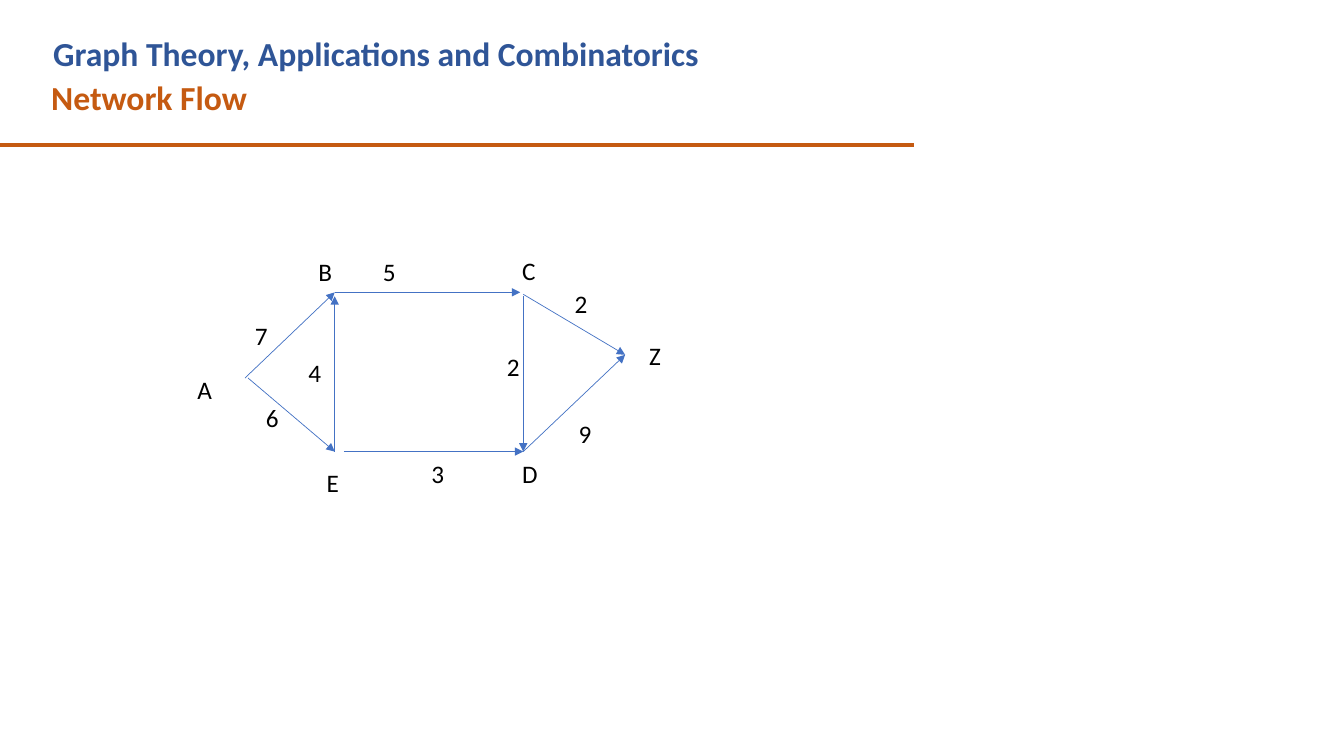
from lxml.etree import SubElement
from pptx import Presentation
from pptx.dml.color import RGBColor
from pptx.enum.shapes import MSO_CONNECTOR
from pptx.enum.text import MSO_AUTO_SIZE
from pptx.oxml.ns import qn
from pptx.util import Emu, Pt

EMU_PER_PX = 9144  # 100 px to the inch
ORANGE, NAVY, BLUE, BLACK = "C55A11", "2F5597", "4472C4", "000000"

# Name or capacity: left, top, width
NODE_LABELS = [
    ("A", 186, 366, 46), ("Z", 634, 333, 71), ("B", 306, 249, 36),
    ("C", 508, 248, 43), ("D", 508, 450, 52), ("E", 314, 459, 52),
]
CAPACITY_LABELS = [
    ("7", 243, 313, 38), ("5", 370, 249, 60), ("2", 560, 281, 48),
    ("9", 564, 410, 70), ("2", 493, 344, 58), ("4", 296, 350, 58),
    ("3", 418, 450, 52), ("6", 254, 394, 46),
]
# Start and end of each directed edge
EDGES = [
    ((332, 290), (516, 290)),  # B to C
    ((519, 294), (519, 448)),  # C to D
    ((243, 375), (332, 290)),  # A to B
    ((246, 375), (332, 448)),  # A to E
    ((341, 448), (519, 448)),  # E to D
    ((332, 448), (332, 294)),  # E to B
    ((519, 292), (620, 352)),  # C to Z
    ((519, 448), (620, 352)),  # D to Z
]


def px(n):
    return Emu(n * EMU_PER_PX)


def rgb(color):
    return RGBColor.from_string(color)


class SlideBuilder:
    font = "Calibri"

    def __init__(self, slide):
        self.shapes = slide.shapes

    def start_group(self):
        """Place every later element in a new group."""
        self.shapes = self.shapes.add_group_shape().shapes

    def text(self, text, left, top, width, height=40, size=18, color=BLACK, bold=False):
        sp = self.shapes.add_textbox(px(left), px(top), px(width), px(height))
        tf = sp.text_frame
        tf.word_wrap = True
        tf.auto_size = MSO_AUTO_SIZE.SHAPE_TO_FIT_TEXT
        tf.text = text
        font = tf.paragraphs[0].runs[0].font
        font.name, font.size, font.bold = self.font, Pt(size), bold
        font.color.rgb = rgb(color)

    def line(self, start, end, color, weight, arrow=False):
        points = [px(n) for n in (*start, *end)]
        sp = self.shapes.add_connector(MSO_CONNECTOR.STRAIGHT, *points)
        sp.line.color.rgb = rgb(color)
        sp.line.width = Pt(weight)
        if arrow:
            SubElement(sp.line._get_or_add_ln(), qn("a:tailEnd"), type="triangle")
        SubElement(sp._element.spPr, qn("a:effectLst"))


def main():
    prs = Presentation()
    prs.slide_width, prs.slide_height = px(1333), px(750)
    s = SlideBuilder(prs.slides.add_slide(prs.slide_layouts[6]))

    s.text("Network Flow", 41, 71, 875, 50, 24, ORANGE, True)
    s.line((0, 144), (907, 144), ORANGE, 3)
    s.text("Graph Theory, Applications and Combinatorics", 43, 28, 820, 50, 24, NAVY, True)

    s.start_group()
    for start, end in EDGES:
        s.line(start, end, BLUE, 0.5, arrow=True)
    for label in NODE_LABELS + CAPACITY_LABELS:
        s.text(*label)

    prs.save("out.pptx")


if __name__ == "__main__":
    main()
